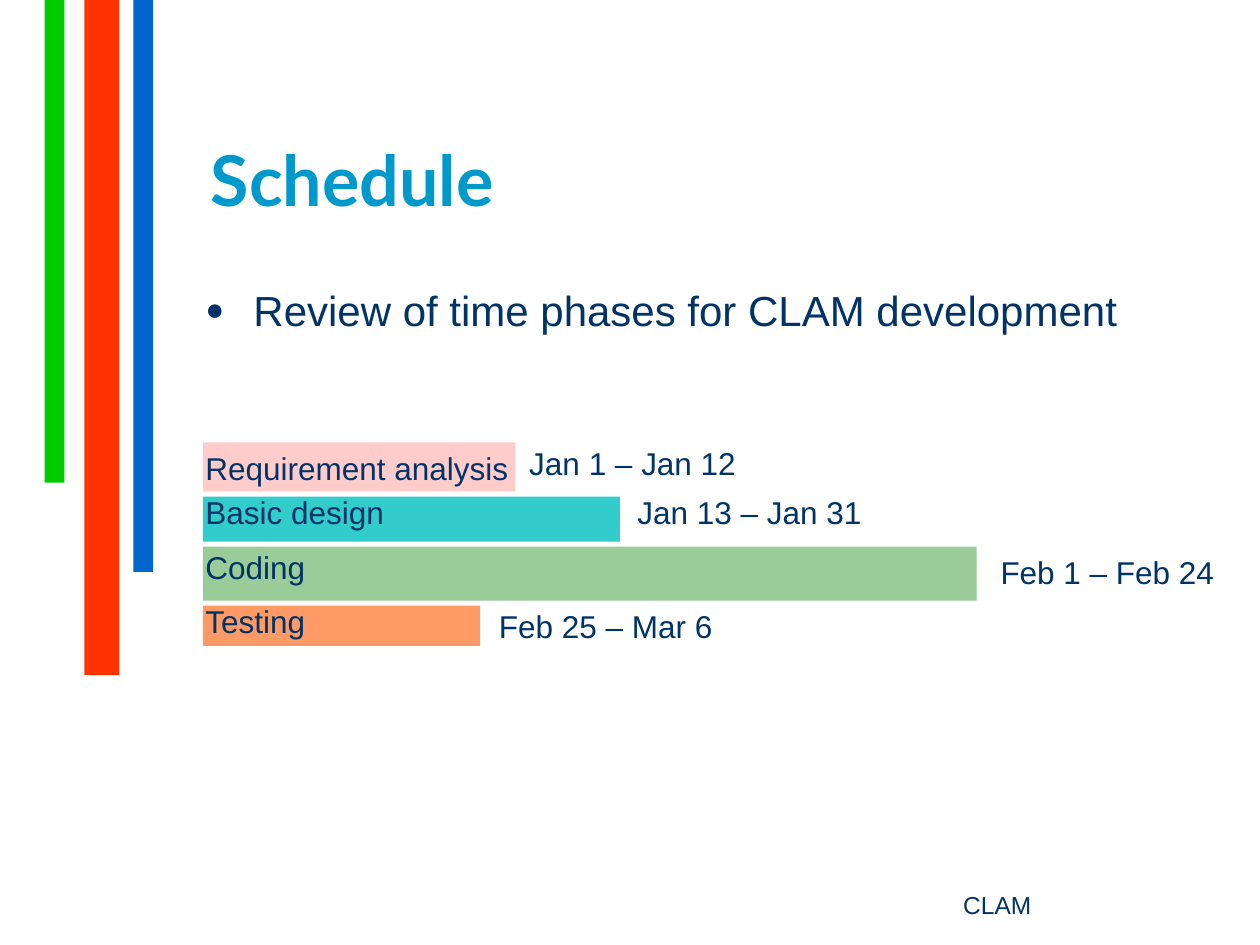
from dataclasses import dataclass

from lxml import etree
from pptx import Presentation
from pptx.dml.color import RGBColor
from pptx.enum.shapes import MSO_SHAPE
from pptx.enum.text import MSO_ANCHOR, PP_ALIGN
from pptx.oxml.ns import qn
from pptx.util import Cm, Pt

RECTANGLE = MSO_SHAPE.RECTANGLE
ROUNDED = MSO_SHAPE.ROUNDED_RECTANGLE
TOP, BOTTOM = MSO_ANCHOR.TOP, MSO_ANCHOR.BOTTOM
LEFT, CENTER = PP_ALIGN.LEFT, PP_ALIGN.CENTER

NAVY = RGBColor(0x00, 0x33, 0x66)
SKY = RGBColor(0x00, 0x99, 0xCC)
WHITE = RGBColor(0xFF, 0xFF, 0xFF)
GREEN = RGBColor(0x00, 0xCC, 0x00)
RED = RGBColor(0xFF, 0x33, 0x00)
BLUE = RGBColor(0x00, 0x66, 0xCC)
PINK = RGBColor(0xFF, 0xCC, 0xCC)
TEAL = RGBColor(0x33, 0xCC, 0xCC)
SAGE = RGBColor(0x99, 0xCC, 0x99)
ORANGE = RGBColor(0xFF, 0x99, 0x66)

BAR_GAP = 0.1
LABEL_INDENT = -0.2
LABEL_HEIGHT = 1.02


@dataclass
class Phase:
    """One project phase, with lengths in centimetres."""
    name: str
    dates: str
    color: RGBColor
    width: float
    height: float
    name_width: float
    name_shift: float
    dates_width: float
    dates_gap: float
    dates_shift: float


PHASES = [
    Phase("Requirement analysis", "Jan 1 – Jan 12", PINK, 6.3, 0.99, 7.39, 0, 5, 0.03, -0.1),
    Phase("Basic design", "Jan 13 – Jan 31", TEAL, 8.41, 0.91, 5.41, -0.2, 6.2, 0.1, -0.2),
    Phase("Coding", "Feb 1 – Feb 24", SAGE, 15.6, 1.09, 5.41, -0.1, 5, 0.23, 0),
    Phase("Testing", "Feb 25 – Mar 6", ORANGE, 5.59, 0.81, 3.1, -0.2, 5.89, 0.13, -0.1),
]


def add_block(slide, box, color=None, kind=RECTANGLE):
    """Add a borderless shape, filled when a colour is given."""
    shape = slide.shapes.add_shape(kind, *map(Cm, box))
    shape.shadow.inherit = False
    shape.line.fill.background()
    if color is None:
        shape.fill.background()
    else:
        shape.fill.solid()
        shape.fill.fore_color.rgb = color
    return shape


def write_text(shape, text, size=18, font="Arial", color=NAVY, bold=False,
               align=LEFT, anchor=TOP, line_spacing=None):
    """Write one formatted paragraph into a shape and return it."""
    frame = shape.text_frame
    frame.word_wrap = True
    frame.vertical_anchor = anchor
    paragraph = frame.paragraphs[0]
    paragraph.alignment = align
    paragraph.line_spacing = line_spacing
    run = paragraph.add_run()
    run.text = text
    run.font.size = Pt(size)
    run.font.name = font
    run.font.bold = bold
    run.font.color.rgb = color
    return paragraph


def add_label(slide, box, text, **text_format):
    """Add a text box with one paragraph."""
    write_text(slide.shapes.add_textbox(*map(Cm, box)), text, **text_format)


def set_bullet(paragraph, character, indent, percent):
    """Give a paragraph a hanging bullet sized relative to its text."""
    properties = paragraph._p.get_or_add_pPr()
    properties.set("marL", str(Cm(indent)))
    properties.set("indent", str(-Cm(indent)))
    color = etree.SubElement(properties, qn("a:buClr"))
    etree.SubElement(color, qn("a:srgbClr"), val=str(NAVY))
    etree.SubElement(properties, qn("a:buSzPct"), val=str(percent * 1000))
    etree.SubElement(properties, qn("a:buFont"), typeface="Arial")
    etree.SubElement(properties, qn("a:buChar"), char=character)


def add_stripes(slide, left, top):
    """Hang the three coloured stripes from the top edge."""
    stripes = [(0, 0.4, 9.73, GREEN), (0.8, 0.71, 13.61, RED), (1.79, 0.4, 11.53, BLUE)]
    for offset, width, height, color in stripes:
        add_block(slide, (left + offset, top, width, height), color)


def add_title(slide, box):
    """Add the slide title."""
    shape = add_block(slide, box, kind=ROUNDED)
    shape.adjustments[0] = 0.22
    write_text(shape, "Schedule", size=40, font="Lato", color=SKY, bold=True,
               anchor=BOTTOM, line_spacing=0.9)


def add_summary(slide, box):
    """Add the bulleted summary line."""
    shape = add_block(slide, box, WHITE)
    paragraph = write_text(shape, "Review of time phases for CLAM development", size=24)
    paragraph.space_before = Pt(6)
    set_bullet(paragraph, "●", 0.97, 75)


def add_timeline(slide, left, top):
    """Stack the phase bars with their names and dates."""
    for phase in PHASES:
        add_block(slide, (left, top, phase.width, phase.height), phase.color)
        add_label(slide, (left + LABEL_INDENT, top + phase.name_shift,
                          phase.name_width, LABEL_HEIGHT), phase.name)
        add_label(slide, (left + phase.width + phase.dates_gap, top + phase.dates_shift,
                          phase.dates_width, LABEL_HEIGHT), phase.dates)
        top += phase.height + BAR_GAP


def add_footer(slide, box):
    """Add the project name at the foot of the slide."""
    add_label(slide, box, "CLAM", size=14, align=CENTER, anchor=BOTTOM)


def main():
    """Build and save the schedule slide."""
    presentation = Presentation()
    presentation.slide_width = Cm(25.4)
    presentation.slide_height = Cm(19.05)
    slide = presentation.slides.add_slide(presentation.slide_layouts[6])
    add_stripes(slide, 0.9, 0)
    add_title(slide, (3.89, 2.92, 19.02, 1.78))
    add_summary(slide, (3.89, 5.61, 19.66, 1.96))
    add_timeline(slide, 4.09, 8.92)
    add_footer(slide, (16.08, 17.35, 8.05, 1.32))
    presentation.save("out.pptx")


if __name__ == "__main__":
    main()
